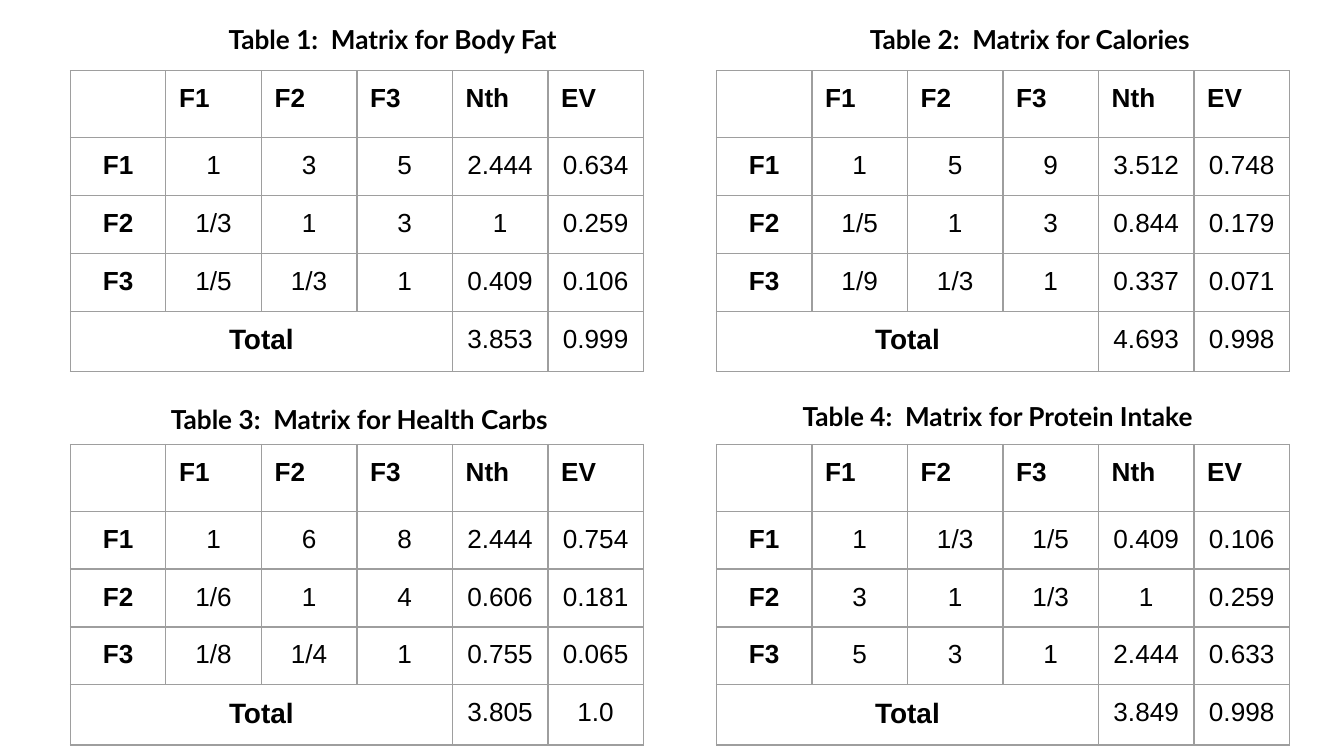
"""Build a slide with four comparison matrices, each under a caption."""
import lxml.etree
import pptx
import pptx.dml.color
import pptx.enum.text
import pptx.oxml.ns
import pptx.util

Cm = pptx.util.Cm
Pt = pptx.util.Pt
qn = pptx.oxml.ns.qn


def color(value):
    return pptx.dml.color.RGBColor.from_string(value)


def format_text(paragraph, formats):
    paragraph.font.color.rgb = color("000000")
    for name, value in formats.items():
        setattr(paragraph.font, name, value)


presentation = pptx.Presentation()
presentation.slide_width = Cm(25.4)
presentation.slide_height = Cm(14.29)
slide = presentation.slides.add_slide(presentation.slide_layouts[6])

caption_format = {"name": "Lato", "size": Pt(14), "bold": True}
label_format = {"name": "Arial", "size": Pt(14), "bold": True}
value_format = {"name": "Arial", "size": Pt(14), "bold": False}
total_format = {"name": "Arial", "size": Pt(15), "bold": True}
margins = {
    f"margin_{side}": Cm(0.25) for side in ("left", "top", "right", "bottom")
}

left_column, right_column = 1.33, 13.54
top_row, bottom_row = 1.34, 8.4
header = ["", "F1", "F2", "F3", "Nth", "EV"]

matrices = [
    {
        "caption": "Table 1:  Matrix for Body Fat",
        "caption_at": (1.42, 0.2),
        "indent": 2.65,
        "table_at": (left_column, top_row),
        "rows": ["F1 1 3 5 2.444 0.634", "F2 1/3 1 3 1 0.259", "F3 1/5 1/3 1 0.409 0.106"],
        "totals": ["3.853", "0.999"],
    },
    {
        "caption": "Table 2:  Matrix for Calories",
        "caption_at": (right_column, 0.2),
        "indent": 2.65,
        "table_at": (right_column, top_row),
        "rows": ["F1 1 5 9 3.512 0.748", "F2 1/5 1 3 0.844 0.179", "F3 1/9 1/3 1 0.337 0.071"],
        "totals": ["4.693", "0.998"],
    },
    {
        "caption": "Table 3:  Matrix for Health Carbs",
        "caption_at": (left_column, 7.37),
        "indent": 1.65,
        "table_at": (left_column, bottom_row),
        "rows": ["F1 1 6 8 2.444 0.754", "F2 1/6 1 4 0.606 0.181", "F3 1/8 1/4 1 0.755 0.065"],
        "totals": ["3.805", "1.0"],
    },
    {
        "caption": "Table 4:  Matrix for Protein Intake",
        "caption_at": (right_column, 7.31),
        "indent": 1.38,
        "table_at": (right_column, bottom_row),
        "rows": ["F1 1 1/3 1/5 0.409 0.106", "F2 3 1 1/3 1 0.259", "F3 5 3 1 2.444 0.633"],
        "totals": ["3.849", "0.998"],
    },
]

for matrix in matrices:
    left, top = matrix["caption_at"]
    caption = slide.shapes.add_textbox(Cm(left), Cm(top), Cm(10.82), Cm(0.66))
    caption.text_frame.word_wrap = True
    for name, value in margins.items():
        setattr(caption.text_frame, name, value)
    paragraph = caption.text_frame.paragraphs[0]
    paragraph.text = matrix["caption"]
    properties = paragraph._p.get_or_add_pPr()
    properties.set("marL", str(Cm(matrix["indent"])))
    properties.set("indent", "0")
    format_text(paragraph, caption_format)

    rows = [header] + [row.split() for row in matrix["rows"]]
    rows.append(["Total", "", "", ""] + matrix["totals"])
    left, top = matrix["table_at"]
    shape = slide.shapes.add_table(
        len(rows), len(header), Cm(left), Cm(top), Cm(10.83), Cm(5.4)
    )
    table = shape.table
    table.first_row = False
    table.horz_banding = False
    for column in table.columns:
        column.width = Cm(10.83 / len(header))
    for row in table.rows:
        row.height = Cm(1.08)
    table.rows[0].height = Cm(1.23)
    last_row = len(rows) - 1
    table.cell(last_row, 0).merge(table.cell(last_row, 3))

    for row_index, row in enumerate(rows):
        for column_index, text in enumerate(row):
            cell = table.cell(row_index, column_index)
            for name, value in margins.items():
                setattr(cell, name, value)
            cell_properties = cell._tc.get_or_add_tcPr()
            for edge in ("a:lnL", "a:lnR", "a:lnT", "a:lnB"):
                border = lxml.etree.SubElement(cell_properties, qn(edge), w=str(Pt(0.75)))
                fill = lxml.etree.SubElement(border, qn("a:solidFill"))
                lxml.etree.SubElement(fill, qn("a:srgbClr"), val="9E9E9E")
            cell.fill.background()
            if not text:
                continue
            paragraph = cell.text_frame.paragraphs[0]
            paragraph.text = text
            if row_index > 0:
                paragraph.alignment = pptx.enum.text.PP_ALIGN.CENTER
            if text == "Total":
                format_text(paragraph, total_format)
            elif row_index == 0 or column_index == 0:
                format_text(paragraph, label_format)
            else:
                format_text(paragraph, value_format)

presentation.save("out.pptx")
